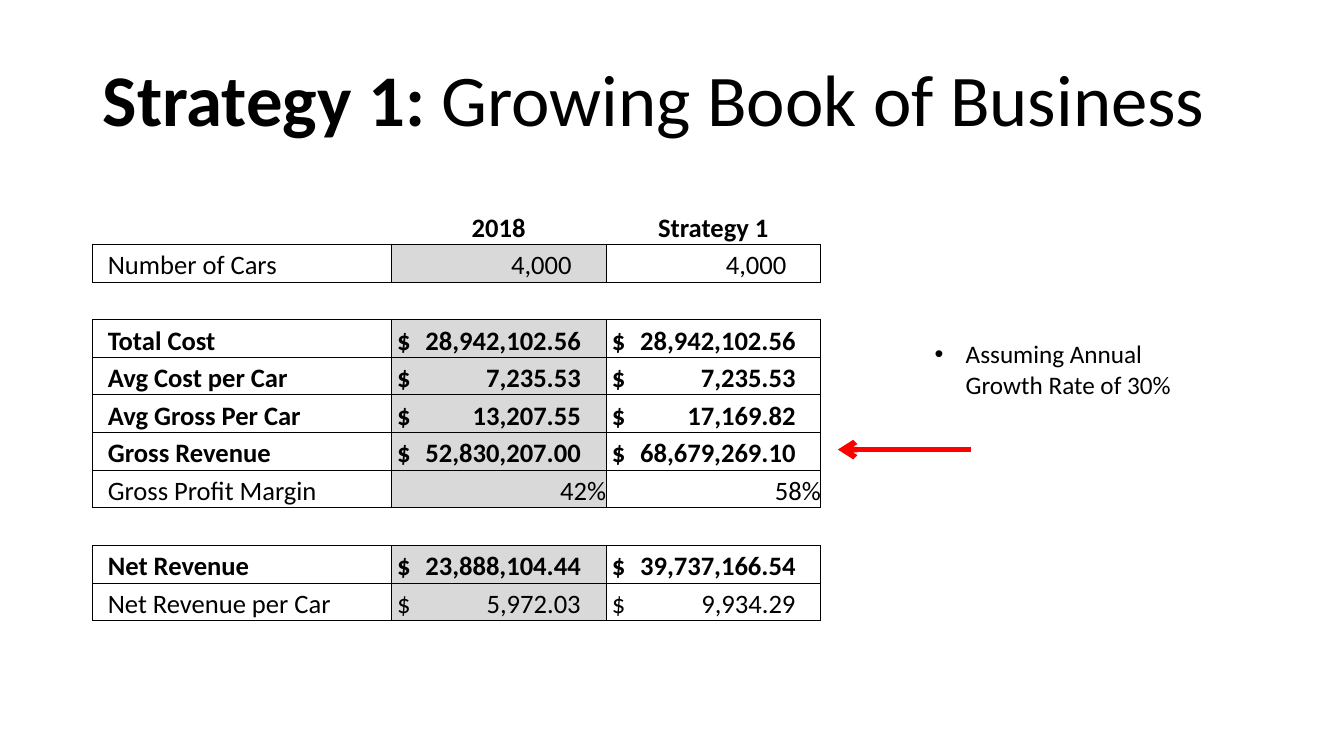
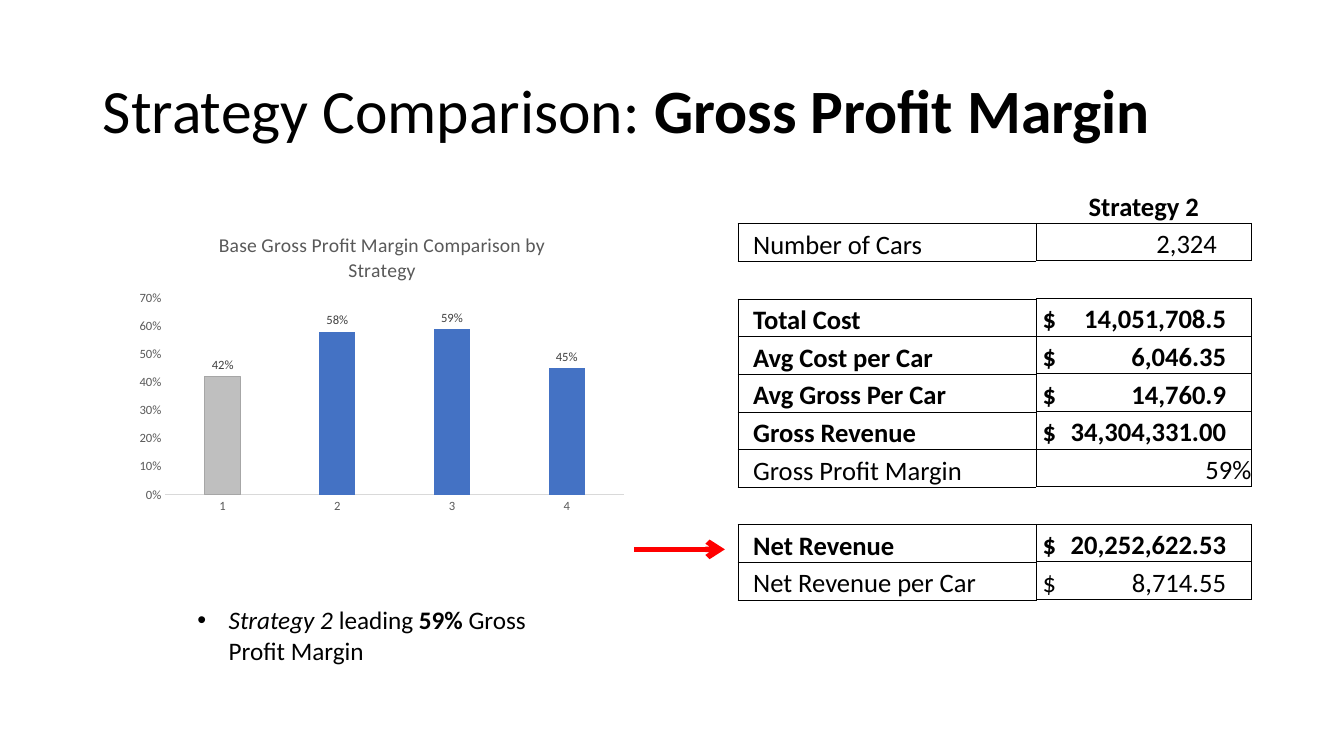
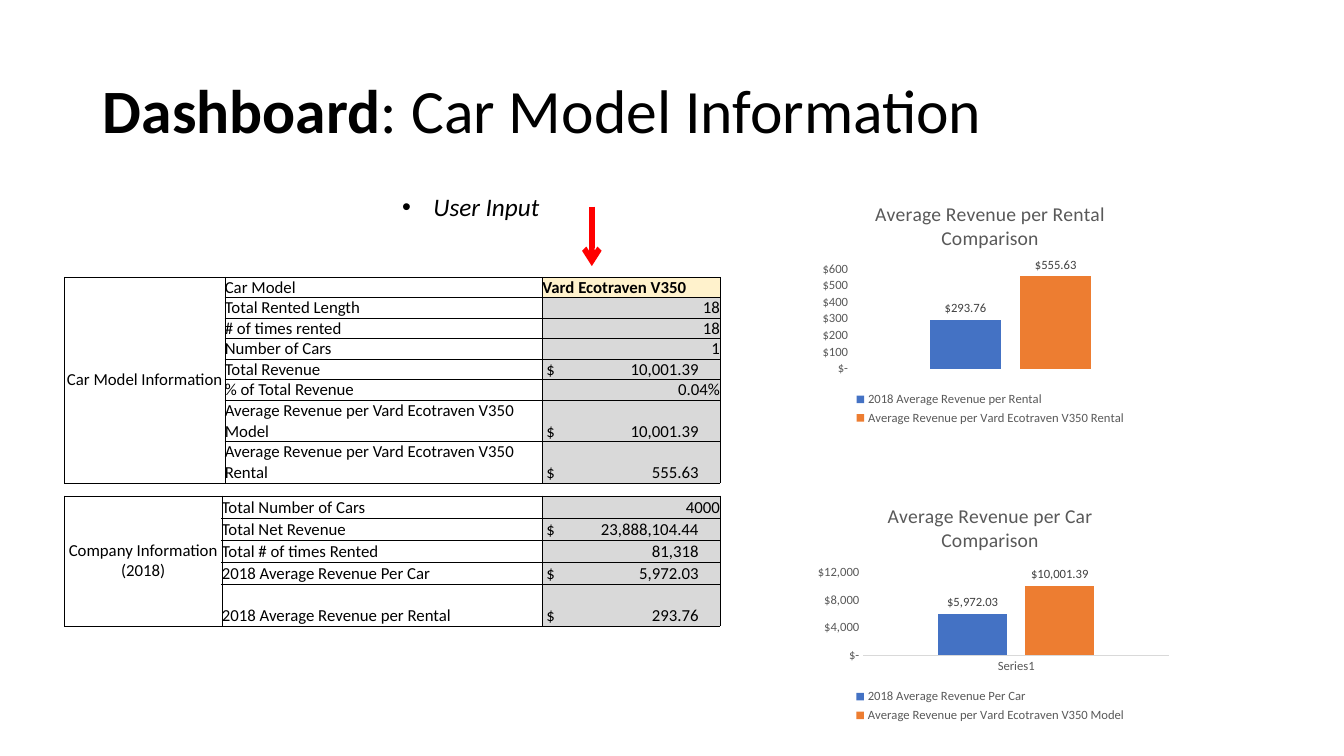
"""Build three slides comparing car rental strategies."""
import dataclasses

import pptx
import pptx.chart.data
import pptx.dml.color
import pptx.enum.chart
import pptx.enum.shapes
import pptx.enum.text
import pptx.oxml
import pptx.oxml.ns
import pptx.util

Inches = pptx.util.Inches
Pt = pptx.util.Pt
Align = pptx.enum.text.PP_ALIGN
Anchor = pptx.enum.text.MSO_ANCHOR


@dataclasses.dataclass(frozen=True)
class Theme:
    """Hold the shared colours, font and type sizes."""
    font: str = "Calibri"
    ink: str = "000000"
    paper: str = "FFFFFF"
    shade: str = "D9D9D9"
    entry: str = "FFF2CC"
    arrow: str = "FF0000"
    chart_text: str = "595959"
    label_text: str = "404040"
    base_bar: str = "BFBFBF"
    base_edge: str = "A6A6A6"
    bars: tuple = ("4472C4", "ED7D31")
    big_title: int = 52
    title: int = 44
    note: int = 18
    fleet: int = 19
    dashboard: int = 12
    chart_title: int = 14
    chart: int = 9


THEME = Theme()
CAR = "Vard Ecotraven V350"

METRICS = [
    ("", True), ("Number of Cars", False), ("", False), ("Total Cost", True),
    ("Avg Cost per Car", True), ("Avg Gross Per Car", True), ("Gross Revenue", True),
    ("Gross Profit Margin", False), ("", False), ("Net Revenue", True),
    ("Net Revenue per Car", False),
]
LABELS = [label for label, bold in METRICS]
YEAR_2018 = ["2018", "\t4,000", "", "$\t28,942,102.56", "$\t7,235.53", "$\t13,207.55",
             "$\t52,830,207.00", "42%", "", "$\t23,888,104.44", "$\t5,972.03"]
STRATEGY_1 = ["Strategy 1", "\t4,000", "", "$\t28,942,102.56", "$\t7,235.53", "$\t17,169.82",
              "$\t68,679,269.10", "58%", "", "$\t39,737,166.54", "$\t9,934.29"]
STRATEGY_2 = ["Strategy 2", "\t2,324", "", "$\t14,051,708.5", "$\t6,046.35", "$\t14,760.9",
              "$\t34,304,331.00", "59%", "", "$\t20,252,622.53", "$\t8,714.55"]
LABEL_WIDTH, VALUE_WIDTH, FLEET_ROW = 2.96, 2.13, 0.3736

DASHBOARD_TABLES = [
    dict(head="Car Model Information", top=2.75, widths=(1.59, 3.15, 1.76),
         heights=[0.2] * 6 + [0.41] * 2,
         rows=[("Car Model", CAR), ("Total Rented Length", "18"), ("# of times rented", "18"),
               ("Number of Cars", "1"), ("Total Revenue", "$\t10,001.39"),
               ("% of Total Revenue", "0.04%"),
               (f"Average Revenue per {CAR} Model", "$\t10,001.39"),
               (f"Average Revenue per {CAR} Rental", "$\t555.63")]),
    dict(head="Company Information (2018)", top=4.92, widths=(1.56, 3.18, 1.76),
         heights=[0.22] * 4 + [0.41],
         rows=[("Total Number of Cars", "4000"), ("Total Net Revenue", "$\t23,888,104.44"),
               ("Total # of times Rented", "\t81,318"),
               ("2018 Average Revenue Per Car", "$\t5,972.03"),
               ("2018 Average Revenue per Rental", "$\t293.76")]),
]

DOLLAR_AXIS, DOLLAR_LABEL = '"$"#,##0;;"$-"', '"$"#,##0.00'
MARGIN_CHART = dict(
    title="Base Gross Profit Margin Comparison by Strategy", frame=(1.29, 2.15, 5, 3),
    plot=(0.07, 0.27, 0.91, 0.65), categories=["1", "2", "3", "4"],
    series=[("Series 1", [0.42, 0.58, 0.59, 0.45])],
    axis_format="0%", label_format="0%", top=0.7, step=0.1)
REVENUE_CHARTS = [
    dict(title="Average Revenue per Rental Comparison", frame=(7.97, 1.85, 3.7, 2.41),
         plot=(0.13, 0.34, 0.85, 0.41), categories=["1"], hide_categories=True,
         series=[("2018 Average Revenue per Rental", [293.76]),
                 (f"Average Revenue per {CAR} Rental", [555.63])],
         axis_format=DOLLAR_AXIS, label_format=DOLLAR_LABEL, top=600, step=100),
    dict(title="Average Revenue per Car Comparison", frame=(7.97, 4.85, 3.7, 2.36),
         plot=(0.16, 0.35, 0.82, 0.35), categories=["Series1"],
         series=[("2018 Average Revenue Per Car", [5972.03]),
                 (f"Average Revenue per {CAR} Model", [10001.39])],
         axis_format=DOLLAR_AXIS, label_format=DOLLAR_LABEL, top=12000, step=4000),
]


def rgb(value):
    return pptx.dml.color.RGBColor.from_string(value)


def add_xml(parent, tag, **attributes):
    child = pptx.oxml.parse_xml(f"<{tag} {pptx.oxml.ns.nsdecls(tag.split(':')[0])}/>")
    for name, value in attributes.items():
        child.set(name, str(value))
    parent.append(child)
    return child


def style_font(font, size, color=THEME.ink, bold=False, italic=False):
    font.name, font.size, font.bold, font.italic = THEME.font, Pt(size), bold, italic
    font.color.rgb = rgb(color)


def add_runs(para, runs, size):
    for text, style in runs:
        span = para.add_run()
        span.text = text
        style_font(span.font, size, bold="b" in style, italic="i" in style)


def add_page(deck, runs, size=THEME.title, top=0.4):
    page = deck.slides.add_slide(deck.slide_layouts[5])
    title = page.shapes.title
    title.left, title.top = Inches(0.92), Inches(top)
    title.width, title.height = Inches(11.5), Inches(1.85 - top)
    frame = title.text_frame
    frame.auto_size = pptx.enum.text.MSO_AUTO_SIZE.NONE
    frame.vertical_anchor = Anchor.MIDDLE
    para = frame.paragraphs[0]
    para.alignment, para.line_spacing = Align.LEFT, 0.9
    add_runs(para, runs, size)
    return page


def add_note(page, runs, left, top, width, height):
    box = page.shapes.add_textbox(*map(Inches, (left, top, width, height)))
    box.text_frame.word_wrap = True
    para = box.text_frame.paragraphs[0]
    layout = para._p.get_or_add_pPr()
    layout.set("marL", str(Inches(0.31)))
    layout.set("indent", str(-Inches(0.31)))
    add_xml(layout, "a:buFont", typeface="Arial")
    add_xml(layout, "a:buChar", char="•")
    add_runs(para, runs, THEME.note)


def add_arrow(page, *ends):
    arrow = page.shapes.add_connector(pptx.enum.shapes.MSO_CONNECTOR.STRAIGHT,
                                      *map(Inches, ends))
    arrow.line.color.rgb = rgb(THEME.arrow)
    arrow.line.width = Pt(4)
    add_xml(arrow.line._get_or_add_ln(), "a:tailEnd", type="arrow")
    add_xml(arrow._element.spPr, "a:effectLst")


def set_borders(cell, sides):
    properties = cell._tc.get_or_add_tcPr()
    for side in "LRTB":
        edge = add_xml(properties, f"a:ln{side}", w=Pt(0.5))
        if side in sides:
            add_xml(add_xml(edge, "a:solidFill"), "a:srgbClr", val=THEME.ink)
        else:
            add_xml(edge, "a:noFill")


def fill_cell(cell, text, size, bold=False, fill=THEME.paper, align=Align.LEFT,
              left=0, stop=0, sides="LRTB", anchor=Anchor.BOTTOM):
    set_borders(cell, sides)
    cell.fill.solid()
    cell.fill.fore_color.rgb = rgb(fill)
    cell.margin_left = Inches(left)
    cell.margin_right = cell.margin_top = cell.margin_bottom = 0
    cell.vertical_anchor = anchor
    para = cell.text_frame.paragraphs[0]
    para.alignment = align
    if "\t" in text:
        tabs = add_xml(para._p.get_or_add_pPr(), "a:tabLst")
        add_xml(tabs, "a:tab", pos=Inches(stop), algn="r")
    if text:
        add_runs(para, [(text, "b" if bold else "")], size)


def add_grid(page, left, top, widths, heights):
    frame = page.shapes.add_table(len(heights), len(widths), Inches(left), Inches(top),
                                  Inches(sum(widths)), Inches(sum(heights)))
    table = frame.table
    table.first_row = table.horz_banding = False
    for column, width in zip(table.columns, widths):
        column.width = Inches(width)
    for row, height in zip(table.rows, heights):
        row.height = Inches(height)
    return table


def add_fleet_table(page, left, top, columns, first=0):
    widths = [LABEL_WIDTH if values is LABELS else VALUE_WIDTH for values in columns]
    count = len(METRICS) - first
    table = add_grid(page, left, top, widths, [FLEET_ROW] * count)
    for c, values in enumerate(columns):
        for r in range(count):
            metric, text = r + first, values[r + first]
            label, bold = METRICS[metric]
            style = dict(bold=bold)
            if metric == 0:
                style.update(align=Align.CENTER, sides="B")
            elif not label:
                style.update(sides="TB")
            elif values is LABELS:
                style.update(left=0.15)
            elif "\t" in text:
                style.update(left=0.06, stop=1.82 if "$" in text else 1.73)
            else:
                style.update(align=Align.RIGHT)
            if label and values is YEAR_2018:
                style.update(fill=THEME.shade)
            fill_cell(table.cell(r, c), text, THEME.fleet, **style)


def add_dashboard_table(page, head, top, widths, heights, rows):
    table = add_grid(page, 0.64, top, widths, heights)
    size = THEME.dashboard
    for r, (label, value) in enumerate(rows):
        fill_cell(table.cell(r, 0), "" if r else head, size,
                  align=Align.CENTER, anchor=Anchor.MIDDLE)
        fill_cell(table.cell(r, 1), label, size)
        style = dict(fill=THEME.shade, align=Align.RIGHT)
        if value == CAR:
            style = dict(fill=THEME.entry, bold=True)
        elif "\t" in value:
            style = dict(fill=THEME.shade, left=0.04, stop=1.51)
        fill_cell(table.cell(r, 2), value, size, **style)
    table.cell(0, 0).merge(table.cell(len(rows) - 1, 0))


def place_plot(chart, bounds):
    area = chart._chartSpace.chart.plotArea
    for old in area.findall(pptx.oxml.ns.qn("c:layout")):
        area.remove(old)
    layout = add_xml(area, "c:layout")
    area.insert(0, layout)
    manual = add_xml(layout, "c:manualLayout")
    add_xml(manual, "c:layoutTarget", val="inner")
    for mode in ("xMode", "yMode"):
        add_xml(manual, f"c:{mode}", val="edge")
    for name, value in zip("xywh", bounds):
        add_xml(manual, f"c:{name}", val=value)


def add_columns(page, title, frame, plot, categories, series, axis_format, label_format,
                top, step, hide_categories=False):
    kinds = pptx.enum.chart
    data = pptx.chart.data.CategoryChartData()
    data.categories = categories
    for name, values in series:
        data.add_series(name, values)
    chart = page.shapes.add_chart(kinds.XL_CHART_TYPE.COLUMN_CLUSTERED,
                                  *map(Inches, frame), data).chart
    style_font(chart.font, THEME.chart, THEME.chart_text)
    chart.has_title = True
    span = chart.chart_title.text_frame.paragraphs[0].add_run()
    span.text = title
    style_font(span.font, THEME.chart_title, THEME.chart_text)
    chart.has_legend = len(series) > 1
    if chart.has_legend:
        chart.legend.position = kinds.XL_LEGEND_POSITION.BOTTOM
        chart.legend.include_in_layout = False
        style_font(chart.legend.font, THEME.chart, THEME.chart_text)
    for axis in (chart.category_axis, chart.value_axis):
        axis.has_major_gridlines = False
        axis.major_tick_mark = kinds.XL_TICK_MARK.NONE
        style_font(axis.tick_labels.font, THEME.chart, THEME.chart_text)
    chart.category_axis.visible = not hide_categories
    chart.category_axis.format.line.color.rgb = rgb(THEME.shade)
    chart.category_axis.format.line.width = Pt(0.75)
    scale = chart.value_axis
    scale.format.line.fill.background()
    scale.minimum_scale, scale.maximum_scale, scale.major_unit = 0, top, step
    scale.tick_labels.number_format = axis_format
    scale.tick_labels.number_format_is_linked = False
    bars = chart.plots[0]
    bars.vary_by_categories, bars.gap_width, bars.overlap = False, 219, -27
    for group, color in zip(bars.series, THEME.bars):
        group.format.fill.solid()
        group.format.fill.fore_color.rgb = rgb(color)
        labels = group.data_labels
        labels.show_value = True
        labels.position = kinds.XL_LABEL_POSITION.OUTSIDE_END
        labels.number_format, labels.number_format_is_linked = label_format, False
        style_font(labels.font, THEME.chart, THEME.label_text)
    place_plot(chart, plot)
    return chart


def build_strategy(deck):
    page = add_page(deck, [("Strategy 1: ", "b"), ("Growing Book of Business", "")],
                    THEME.big_title, 0.2)
    add_fleet_table(page, 0.92, 2.05, [LABELS, YEAR_2018, STRATEGY_1])
    add_arrow(page, 9.63, 4.46, 8.31, 4.46)
    add_note(page, [("Assuming Annual Growth Rate of 30%", "")], 9.17, 3.31, 2.91, 0.71)


def build_comparison(deck):
    page = add_page(deck, [("Strategy Comparison: ", ""), ("Gross Profit Margin", "b")])
    add_note(page, [("Strategy 2 ", "i"), ("leading ", ""), ("59% ", "b"),
                    ("Gross Profit Margin", "")], 1.86, 5.95, 3.62, 0.71)
    add_fleet_table(page, 7.32, 2.22, [LABELS], first=1)
    add_arrow(page, 6.29, 5.45, 7.19, 5.45)
    chart = add_columns(page, **MARGIN_CHART)
    base = chart.plots[0].series[0].points[0].format
    base.fill.solid()
    base.fill.fore_color.rgb = rgb(THEME.base_bar)
    base.line.color.rgb = rgb(THEME.base_edge)
    base.line.width = Pt(0.75)
    add_fleet_table(page, 7.32 + LABEL_WIDTH, 1.84, [STRATEGY_2])


def build_dashboard(deck):
    page = add_page(deck, [("Dashboard", "b"), (": Car Model Information", "")])
    for table in DASHBOARD_TABLES:
        add_dashboard_table(page, **table)
    for chart in REVENUE_CHARTS:
        add_columns(page, **chart)
    add_note(page, [("User Input", "i")], 3.89, 1.85, 3.62, 0.4)
    add_arrow(page, 5.87, 2.05, 5.87, 2.64)


def main():
    deck = pptx.Presentation()
    deck.slide_width, deck.slide_height = Inches(13.33), Inches(7.5)
    for build in (build_strategy, build_comparison, build_dashboard):
        build(deck)
    deck.save("out.pptx")


if __name__ == "__main__":
    main()
